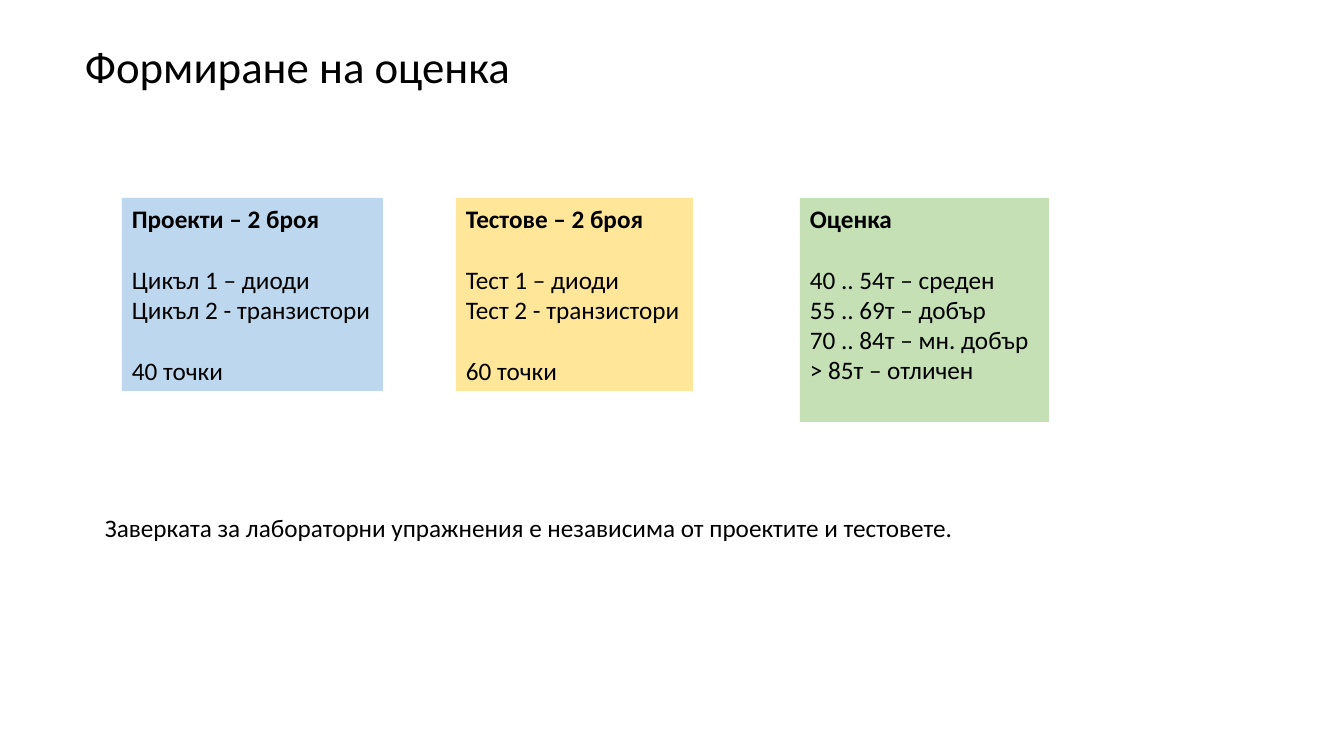
from pptx import Presentation
from pptx.dml.color import RGBColor as Rgb
from pptx.enum.shapes import MSO_SHAPE as Shape
from pptx.enum.text import MSO_ANCHOR as Anchor, PP_ALIGN as Align
from pptx.util import Pt

SCALE = 914400 / 100.8  # EMU per px
COLORS = {"ink": "000000", "blue": "BDD7EE", "gold": "FFE699", "green": "C5E0B4"}


def px(n):
    return round(n * SCALE)


class Board:
    font = "Calibri"
    size = 18
    skip = 22  # points of space that open a new group of lines

    def __init__(self, slide):
        self.slide = slide

    def label(self, shape, groups, size, head=False):
        """Fill a shape with groups of lines; the first group may be a bold head."""
        frame = shape.text_frame
        frame.word_wrap = False
        frame.vertical_anchor = Anchor.TOP
        para = frame.paragraphs[0]
        for g, group in enumerate(groups):
            for i, line in enumerate(group):
                if g or i:
                    para = frame.add_paragraph()
                para.alignment = Align.LEFT
                para.space_before = Pt(self.skip if g and not i else 0)
                run = para.add_run()
                run.text = line
                font = run.font
                font.name, font.size = self.font, Pt(size)
                font.bold = head and g == 0
                font.color.rgb = Rgb.from_string(COLORS["ink"])

    def text(self, x, y, w, h, line, size=size):
        box = self.slide.shapes.add_textbox(px(x), px(y), px(w), px(h))
        self.label(box, [[line]], size)

    def card(self, x, y, w, h, fill, groups):
        card = self.slide.shapes.add_shape(Shape.RECTANGLE, px(x), px(y), px(w), px(h))
        card.shadow.inherit = False
        card.fill.solid()
        card.fill.fore_color.rgb = Rgb.from_string(COLORS[fill])
        card.line.fill.background()
        self.label(card, groups, self.size, head=True)


def main():
    deck = Presentation()
    deck.slide_width, deck.slide_height = px(1344), px(756)
    board = Board(deck.slides.add_slide(deck.slide_layouts[6]))

    # Title
    board.text(75, 34, 461, 65, "Формиране на оценка", 32)

    # Cards: left, width, height, fill, groups of lines
    cards = [
        (122, 261, 193, "blue", [
            ["Проекти – 2 броя"],
            ["Цикъл 1 – диоди", "Цикъл 2 - транзистори"],
            ["40 точки"]]),
        (456, 237, 193, "gold", [
            ["Тестове – 2 броя"],
            ["Тест 1 – диоди", "Тест 2 - транзистори"],
            ["60 точки"]]),
        (800, 249, 224, "green", [
            ["Оценка"],
            ["40 .. 54т – среден", "55 .. 69т – добър",
             "70 .. 84т – мн. добър", "> 85т – отличен"]]),
    ]
    for x, w, h, fill, groups in cards:
        board.card(x, 198, w, h, fill, groups)

    # Closing note
    board.text(95, 507, 872, 40,
               "Заверката за лабораторни упражнения е независима от проектите и тестовете.")

    deck.save("out.pptx")


if __name__ == "__main__":
    main()
